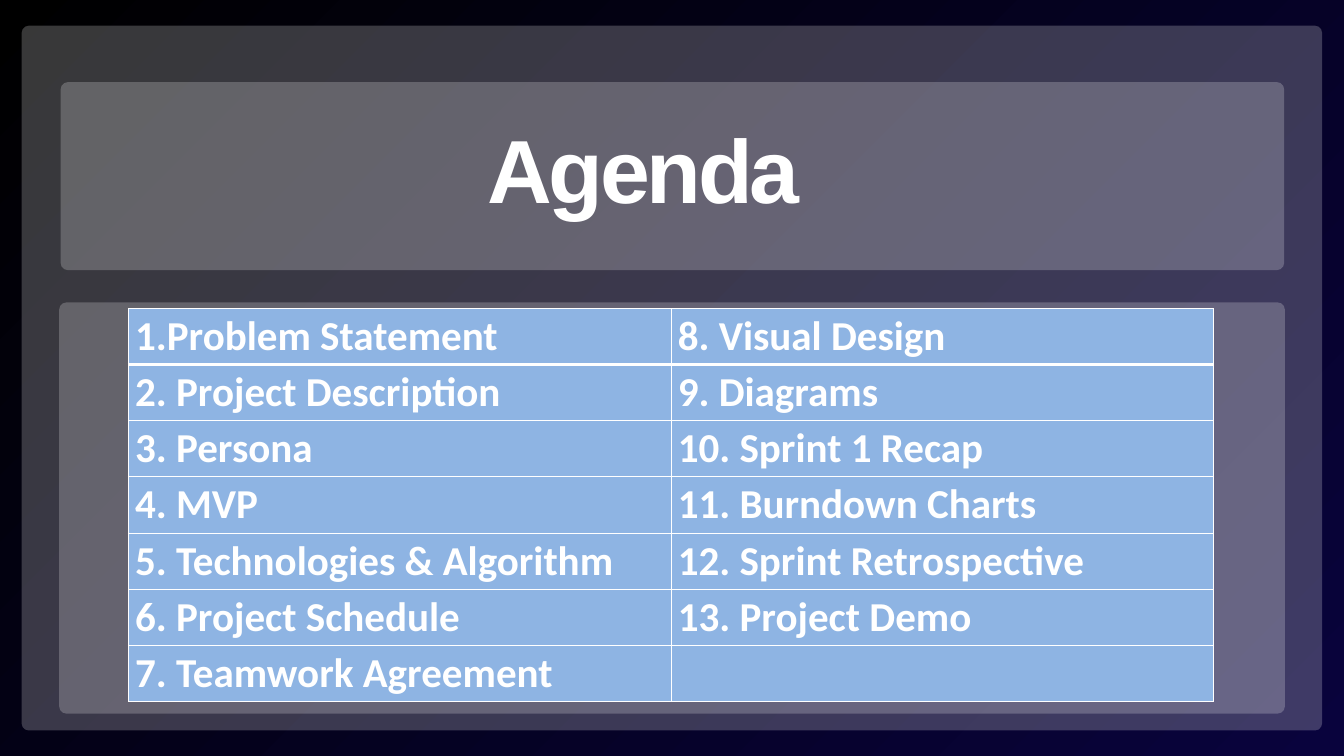
from lxml.etree import SubElement
from pptx import Presentation
from pptx.dml.color import RGBColor
from pptx.enum.shapes import MSO_SHAPE
from pptx.enum.text import MSO_ANCHOR, MSO_AUTO_SIZE, PP_ALIGN
from pptx.oxml.ns import qn
from pptx.util import Pt

# Content
TITLE = "Agenda"
AGENDA = [
    ("Problem Statement", "8. Visual Design"),
    ("2. Project Description", "9. Diagrams"),
    ("3. Persona", "10. Sprint 1 Recap"),
    ("4. MVP", "11. Burndown Charts"),
    ("5. Technologies & Algorithm", "12. Sprint Retrospective"),
    ("6. Project Schedule", "13. Project Demo"),
    ("7. Teamwork Agreement", ""),
]

# Places in points: left, top, width, height
PANELS = [
    (23.2, 27.5, 1393.4, 755.2),
    (63.4, 324, 1313.3, 440.6),
    (64.9, 88, 1311, 201.5),
]
TITLE_BOX = (33.8, 159.8, 1311.1, 85)
TABLE_BOX = (137.5, 330.5, 1163, 420.5)
CORNER_RADIUS = 7.8
PANEL_ALPHA = 22

BLACK = RGBColor(0x00, 0x00, 0x00)
NAVY = RGBColor(0x09, 0x03, 0x3D)
WHITE = RGBColor(0xFF, 0xFF, 0xFF)
SKY = RGBColor(0x8E, 0xB4, 0xE3)


def points(box):
    return [Pt(value) for value in box]


def write_text(frame, text, font="Calibri", size=44, align=PP_ALIGN.LEFT,
               line_spacing=None, tracking=None, numbered=False):
    paragraph = frame.paragraphs[0]
    paragraph.alignment = align
    if line_spacing:
        paragraph.line_spacing = Pt(line_spacing)
    if numbered:
        properties = paragraph._p.get_or_add_pPr()
        properties.set("marL", str(Pt(27)))
        properties.set("indent", str(-Pt(27)))
        SubElement(properties, qn("a:buFont"), typeface="+mj-lt")
        SubElement(properties, qn("a:buAutoNum"), type="arabicPeriod")
    if not text:
        SubElement(paragraph._p, qn("a:endParaRPr"), sz=str(size * 100))
        return
    run = paragraph.add_run()
    run.text = text
    run.font.name = font
    run.font.size = Pt(size)
    run.font.bold = True
    run.font.color.rgb = WHITE
    if tracking:
        run._r.get_or_add_rPr().set("spc", str(int(tracking * 100)))


def add_border(cell, side, width):
    line = SubElement(cell._tc.get_or_add_tcPr(), qn(f"a:ln{side}"), w=str(Pt(width)))
    fill = SubElement(line, qn("a:solidFill"))
    SubElement(fill, qn("a:srgbClr"), val=str(WHITE))


def paint_background(slide):
    fill = slide.background.fill
    fill.gradient()
    for stop, color in zip(fill.gradient_stops, (BLACK, NAVY)):
        stop.color.rgb = color
    # Radial gradient spreading from the top left corner
    gradient = next(slide.element.iter(qn("a:gradFill")))
    gradient.remove(gradient.find(qn("a:lin")))
    radial = SubElement(gradient, qn("a:path"), path="circle")
    SubElement(radial, qn("a:fillToRect"), r="100000", b="100000")


def add_panel(slide, box):
    panel = slide.shapes.add_shape(MSO_SHAPE.ROUNDED_RECTANGLE, *points(box))
    panel.adjustments[0] = CORNER_RADIUS / min(box[2:])
    panel.shadow.inherit = False
    panel.line.fill.background()
    panel.fill.solid()
    panel.fill.fore_color.rgb = WHITE
    color = next(panel._element.spPr.iter(qn("a:srgbClr")))
    SubElement(color, qn("a:alpha"), val=str(PANEL_ALPHA * 1000))


def place_title(slide):
    title = slide.shapes.title
    title.left, title.top, title.width, title.height = points(TITLE_BOX)
    frame = title.text_frame
    frame.margin_left = frame.margin_right = frame.margin_top = frame.margin_bottom = 0
    frame.vertical_anchor = MSO_ANCHOR.TOP
    frame.auto_size = MSO_AUTO_SIZE.NONE
    frame.word_wrap = True
    write_text(frame, TITLE, font="Arial", size=96, align=PP_ALIGN.CENTER,
               line_spacing=77.5, tracking=-3.4)
    # Bring the title in front of the panels
    slide.shapes._spTree.append(title._element)


def add_agenda_table(slide):
    table = slide.shapes.add_table(len(AGENDA), 2, *points(TABLE_BOX)).table
    table.horz_banding = False
    for column in table.columns:
        column.width = Pt(TABLE_BOX[2] / 2)
    for row_index, entries in enumerate(AGENDA):
        table.rows[row_index].height = Pt(TABLE_BOX[3] / len(AGENDA))
        for column_index, entry in enumerate(entries):
            cell = table.cell(row_index, column_index)
            cell.margin_top = cell.margin_bottom = Pt(3.2)
            write_text(cell.text_frame, entry,
                       numbered=(row_index, column_index) == (0, 0))
            for side in "LRTB":
                heavy = (row_index, side) in ((0, "B"), (1, "T"))
                add_border(cell, side, 3 if heavy else 1)
            cell.fill.solid()
            cell.fill.fore_color.rgb = SKY


def main():
    presentation = Presentation()
    presentation.slide_width, presentation.slide_height = Pt(1440), Pt(810)
    slide = presentation.slides.add_slide(presentation.slide_layouts[5])
    paint_background(slide)
    for box in PANELS:
        add_panel(slide, box)
    place_title(slide)
    add_agenda_table(slide)
    presentation.save("out.pptx")


if __name__ == "__main__":
    main()
